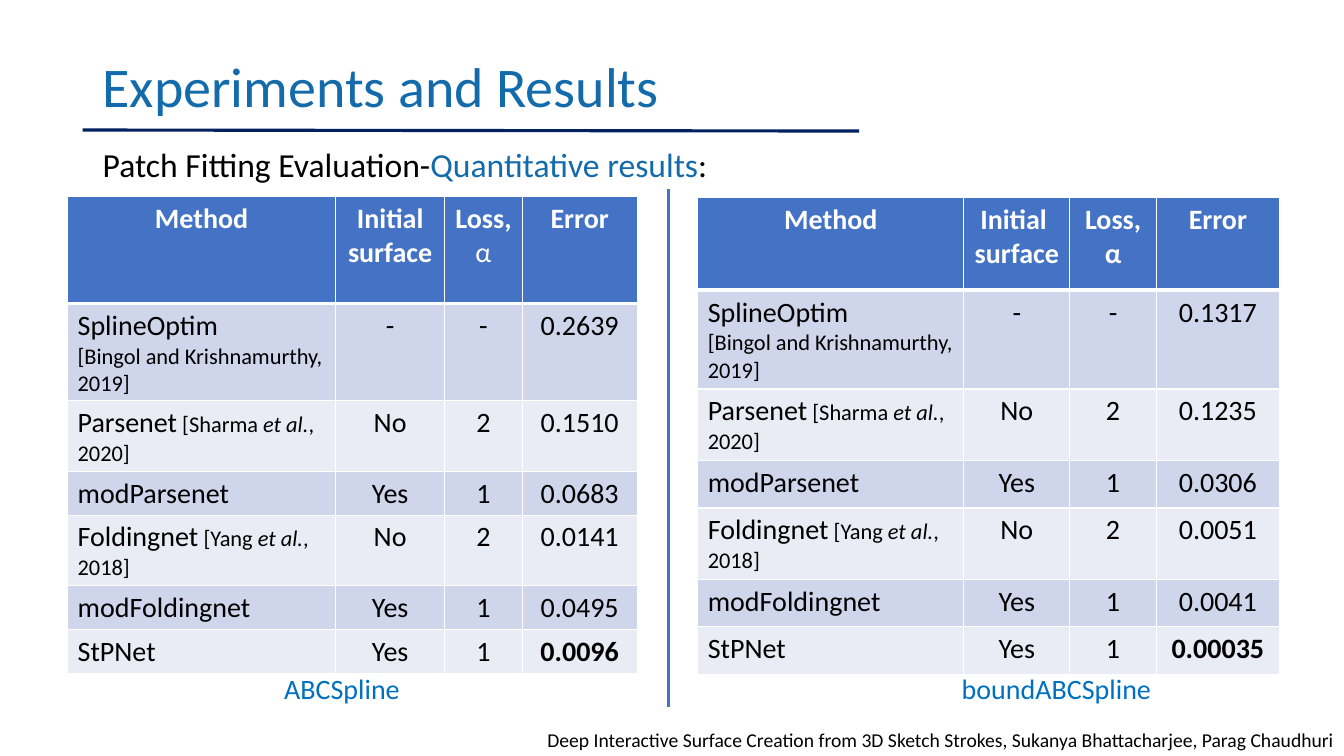
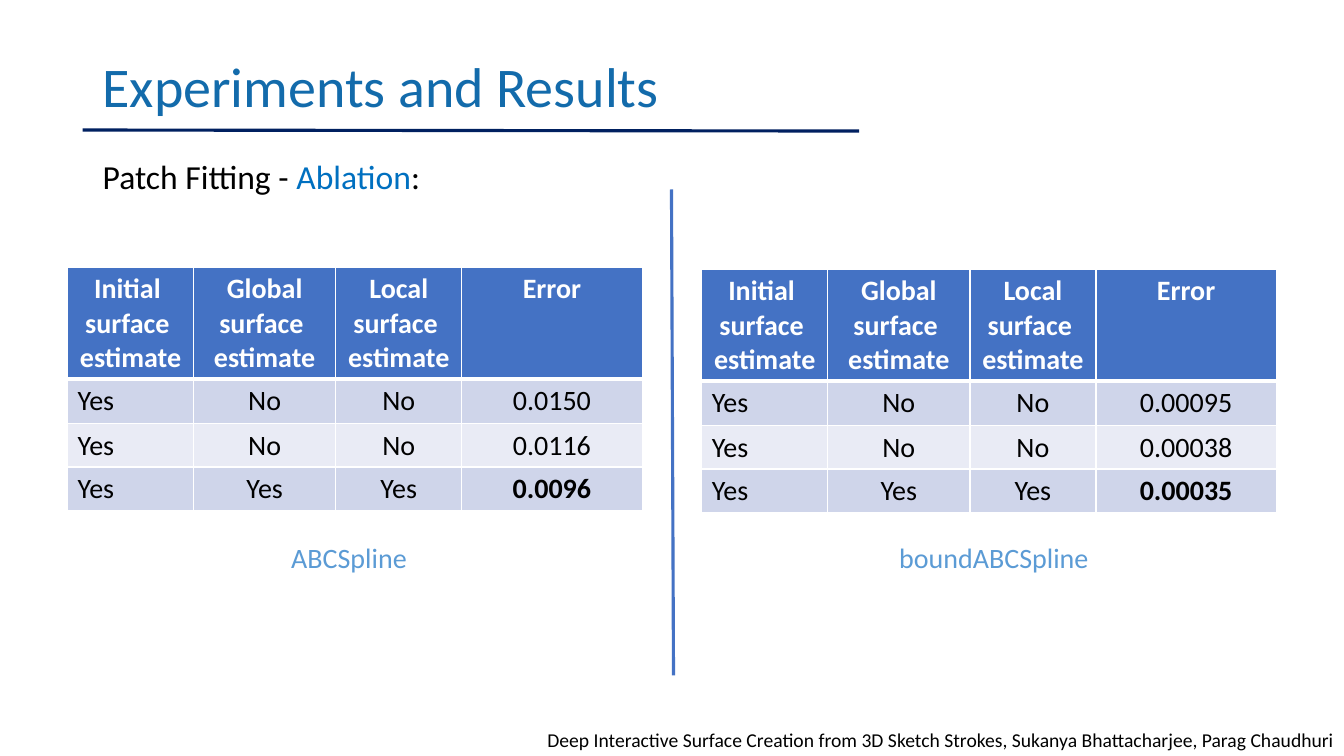
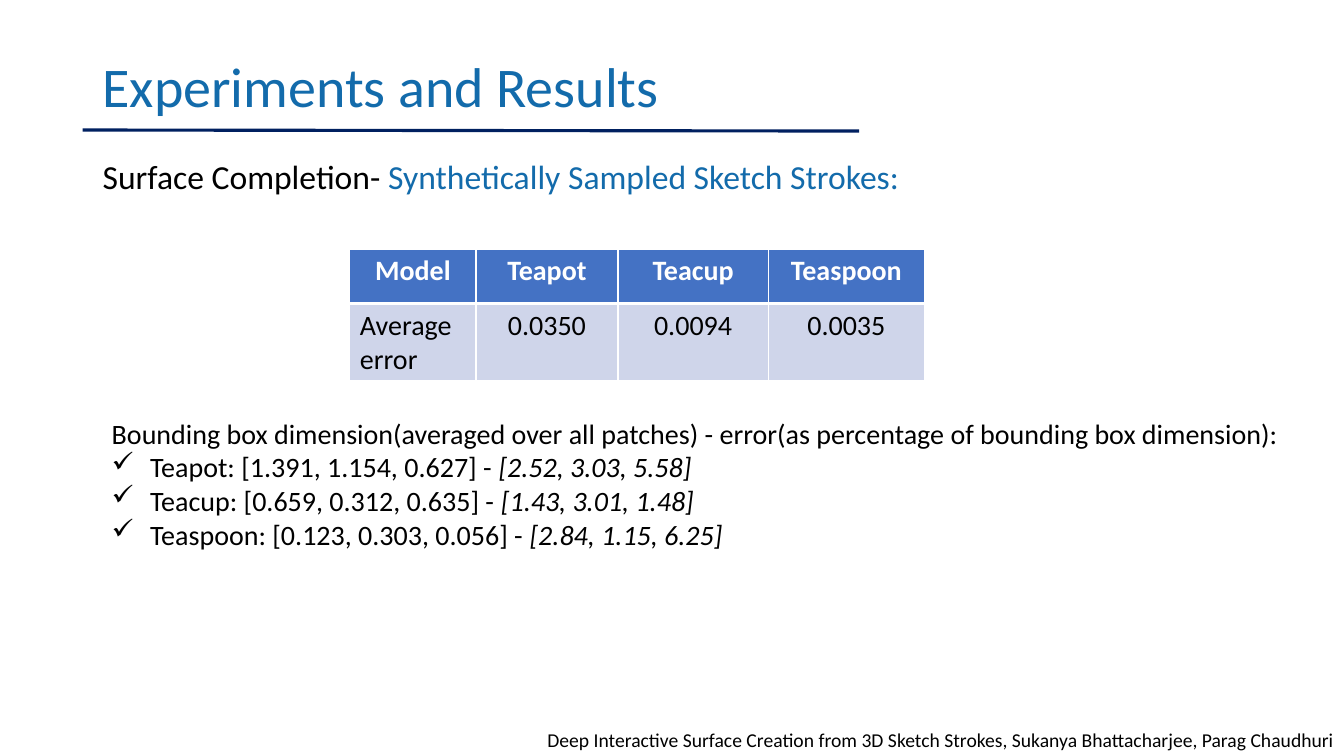
from lxml import etree
from pptx import Presentation
from pptx.dml.color import RGBColor
from pptx.enum.shapes import MSO_CONNECTOR
from pptx.enum.text import MSO_ANCHOR, PP_ALIGN
from pptx.oxml.ns import qn
from pptx.util import Inches, Pt

FONT = "Calibri"
BLACK, WHITE, TITLE_BLUE, NAVY = "000000", "FFFFFF", "136BAB", "002060"
ACCENT, BAND_DARK, BAND_LIGHT = "4472C4", "CFD5EA", "E9EBF5"
LINK_BLUE, SKY = "0070C0", "5B9BD5"
TITLE = "Experiments and Results"
FOOTER = ("Deep Interactive Surface Creation from 3D Sketch Strokes, "
          "Sukanya Bhattacharjee, Parag Chaudhuri")


def rgb(value):
    return RGBColor.from_string(value)


def run(text, **style):
    """A run that differs from its paragraph in size, color, bold or italic."""
    return text, style


def write(tf, paras, size, color=BLACK, bold=False, align=None, spacing=None):
    """Fill a text frame; a paragraph is a string or a list of runs."""
    for i, runs in enumerate(paras):
        p = tf.paragraphs[0] if i == 0 else tf.add_paragraph()
        p.alignment = align
        if spacing:
            p.line_spacing = spacing
        for item in [runs] if isinstance(runs, str) else runs:
            text, style = (item, {}) if isinstance(item, str) else item
            r = p.add_run()
            r.text = text
            r.font.name = FONT
            r.font.size = Pt(style.get("size", size))
            r.font.bold = style.get("bold", bold)
            r.font.italic = style.get("italic", False)
            r.font.color.rgb = rgb(style.get("color", color))


def add_text(s, box, paras, size, color=BLACK, anchor=MSO_ANCHOR.TOP, spacing=None):
    tf = s.shapes.add_textbox(*map(Inches, box)).text_frame
    tf.word_wrap = True
    tf.vertical_anchor = anchor
    write(tf, paras, size, color, spacing=spacing)
    return tf


def add_line(s, start, end, color):
    line = s.shapes.add_connector(MSO_CONNECTOR.STRAIGHT, *map(Inches, start + end))
    line.line.color.rgb = rgb(color)
    line.line.width = Pt(2.25)
    etree.SubElement(line._element.spPr, qn("a:effectLst"))


# Tables
def set_borders(cell, row):
    tc_pr = cell._tc.get_or_add_tcPr()
    for side in "LRTB":
        under_header = (row, side) in ((0, "B"), (1, "T"))
        ln = etree.SubElement(tc_pr, qn("a:ln" + side), w=str(Pt(3 if under_header else 1)))
        fill = etree.SubElement(ln, qn("a:solidFill"))
        etree.SubElement(fill, qn("a:srgbClr"), val=WHITE)


def add_results(s, left, top, widths, heights, rows):
    """Banded table; a cell is a string or a list of paragraphs."""
    table = s.shapes.add_table(len(rows), len(widths), Inches(left), Inches(top),
                               Inches(sum(widths)), Inches(sum(heights))).table
    for col, width in zip(table.columns, widths):
        col.width = Inches(width)
    for i, (values, height) in enumerate(zip(rows, heights)):
        table.rows[i].height = Inches(height)
        header = i == 0
        band = ACCENT if header else BAND_DARK if i % 2 else BAND_LIGHT
        for j, value in enumerate(values):
            cell = table.cell(i, j)
            set_borders(cell, i)
            cell.fill.solid()
            cell.fill.fore_color.rgb = rgb(band)
            write(cell.text_frame, [value] if isinstance(value, str) else value, 20,
                  WHITE if header else BLACK, bold=header,
                  align=PP_ALIGN.CENTER if header or j else PP_ALIGN.LEFT)


def best(error):
    return [[run(error, bold=True)]]


def cited(name, author, year):
    return [[name, run(f" [{author} ", size=16), run("et al.", size=16, italic=True),
             run(f", {year}]", size=16)]]


def evaluation_rows(initial, loss, errors):
    methods = [
        (["SplineOptim", [run("[Bingol and Krishnamurthy, 2019]", size=16)]], "-", "-"),
        (cited("Parsenet", "Sharma", 2020), "No", "2"),
        ("modParsenet", "Yes", "1"),
        (cited("Foldingnet", "Yang", 2018), "No", "2"),
        ("modFoldingnet", "Yes", "1"),
        ("StPNet", "Yes", "1"),
    ]
    cells = errors[:-1] + [best(errors[-1])]
    return [("Method", initial, loss, "Error")] + [m + (e,) for m, e in zip(methods, cells)]


def ablation_rows(errors):
    header = [[scope, "surface ", "estimate"] for scope in ("Initial ", "Global", "Local")]
    return [header + ["Error"],
            ("Yes", "No", "No", errors[0]),
            ("Yes", "No", "No", errors[1]),
            ("Yes", "Yes", "Yes", best(errors[2]))]


# Slides
def base_slide(prs, subtitle, subtitle_top, subtitle_width):
    s = prs.slides.add_slide(prs.slide_layouts[6])
    add_text(s, (0.92, 0.4, 11.5, 0.98), [TITLE], 40, TITLE_BLUE, MSO_ANCHOR.MIDDLE, 0.9)
    add_text(s, (0.92, subtitle_top, subtitle_width, 0.68), [subtitle], 24, spacing=0.9)
    add_line(s, (0.82, 1.29), (8.52, 1.3), NAVY)
    add_text(s, (5.33, 7.17, 8, 0.34), [FOOTER], 14).margin_right = 0
    return s


def evaluation_slide(prs):
    s = base_slide(prs, ["Patch Fitting Evaluation-",
                         run("Quantitative results", color=TITLE_BLUE), ":"], 1.42, 6.57)
    add_results(s, 0.67, 1.95, (2.66, 1.08, 0.77, 1.14),
                (1.06, 0.96, 0.69, 0.43, 0.69, 0.43, 0.43),
                evaluation_rows("Initial surface", [["Loss, ", run("α", bold=False)]],
                                ["0.2639", "0.1510", "0.0683", "0.0141", "0.0495", "0.0096"]))
    add_line(s, (6.63, 1.88), (6.63, 7.01), ACCENT)
    add_text(s, (2.72, 6.61, 1.49, 0.44), ["ABCSpline"], 20, LINK_BLUE)
    add_results(s, 6.92, 1.96, (2.64, 1.05, 0.86, 1.22),
                (0.92, 0.98, 0.71, 0.47, 0.71, 0.47, 0.47),
                evaluation_rows(["Initial ", "surface"], "Loss, α",
                                ["0.1317", "0.1235", "0.0306", "0.0051", "0.0041", "0.00035"]))
    add_text(s, (9.44, 6.61, 2.1, 0.44), ["boundABCSpline"], 20, LINK_BLUE)


def ablation_slide(prs):
    s = base_slide(prs, ["Patch Fitting - ", run("Ablation", color=LINK_BLUE), ":"], 1.54, 5.35)
    add_line(s, (6.66, 1.88), (6.68, 6.7), ACCENT)
    halves = [
        (0.67, 2.65, ("0.0150", "0.0116", "0.0096"), "ABCSpline", 2.79, 1.6),
        (6.96, 2.67, ("0.00095", "0.00038", "0.00035"), "boundABCSpline", 8.82, 2.26),
    ]
    for left, top, errors, caption, caption_left, caption_width in halves:
        add_results(s, left, top, (1.25, 1.41, 1.25, 1.79), (1.11, 0.44, 0.43, 0.43),
                    ablation_rows(errors))
        add_text(s, (caption_left, 5.31, caption_width, 0.44), [caption], 20, SKY)


def add_check(p):
    p_pr = p._p.get_or_add_pPr()
    p_pr.set("marL", str(Inches(0.38)))
    p_pr.set("indent", str(-Inches(0.38)))
    etree.SubElement(p_pr, qn("a:buChar"), char="✓")


def completion_slide(prs):
    s = base_slide(prs, ["Surface Completion- ",
                         run("Synthetically Sampled Sketch Strokes:", color=TITLE_BLUE)],
                   1.54, 10.27)
    add_results(s, 3.47, 2.47, (1.25, 1.41, 1.49, 1.55), (0.54, 0.77),
                [("Model", "Teapot", "Teacup", "Teaspoon"),
                 ("Average error", "0.0350", "0.0094", "0.0035")])
    dimensions = [
        ("Teapot: [1.391, 1.154, 0.627] - ", "[2.52, 3.03, 5.58]"),
        ("Teacup: [0.659, 0.312, 0.635] - ", "[1.43, 3.01, 1.48]"),
        ("Teaspoon: [0.123, 0.303, 0.056] - ", "[2.84, 1.15, 6.25]"),
    ]
    heading = ("Bounding box dimension(averaged over all patches) - "
               "error(as percentage of bounding box dimension):")
    tf = add_text(s, (1.01, 4.08, 12.32, 1.45),
                  [heading] + [[box, run(error, italic=True)] for box, error in dimensions], 20)
    for p in tf.paragraphs[1:]:
        add_check(p)


def main():
    prs = Presentation()
    prs.slide_width, prs.slide_height = Inches(13.33), Inches(7.5)
    evaluation_slide(prs)
    ablation_slide(prs)
    completion_slide(prs)
    prs.save("out.pptx")


if __name__ == "__main__":
    main()
